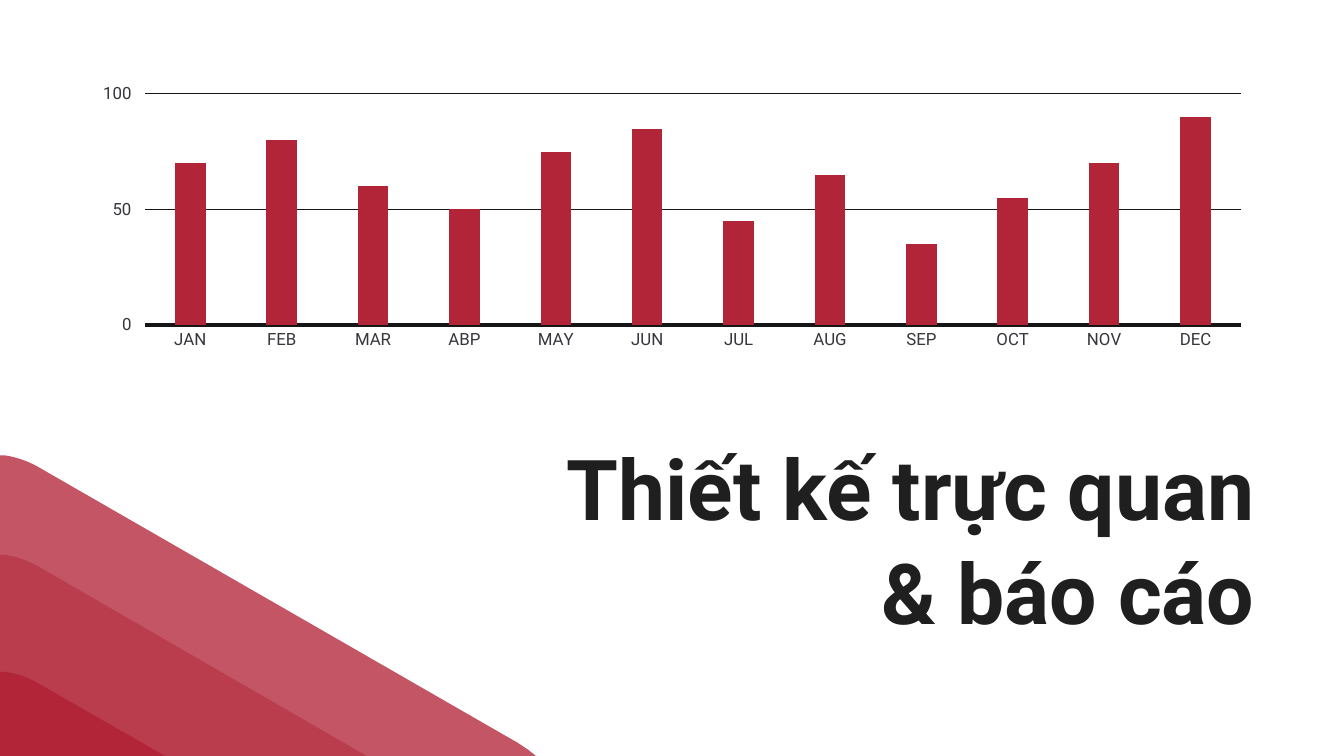
from dataclasses import dataclass

from lxml import etree
from pptx import Presentation
from pptx.chart.data import CategoryChartData
from pptx.dml.color import RGBColor
from pptx.enum.chart import XL_CHART_TYPE, XL_TICK_MARK
from pptx.enum.text import MSO_ANCHOR, PP_ALIGN
from pptx.oxml.ns import qn
from pptx.util import Cm, Pt

COLUMNS = XL_CHART_TYPE.COLUMN_CLUSTERED
TICK_NONE, TICK_OUT = XL_TICK_MARK.NONE, XL_TICK_MARK.OUTSIDE
RIGHT, TOP = PP_ALIGN.RIGHT, MSO_ANCHOR.TOP


@dataclass(frozen=True)
class Theme:
    font: str = "Roboto"
    title: RGBColor = RGBColor.from_string("1F1F1F")
    label: RGBColor = RGBColor.from_string("36363D")
    line: RGBColor = RGBColor.from_string("171616")
    light: RGBColor = RGBColor.from_string("C35564")
    medium: RGBColor = RGBColor.from_string("BA3D4D")
    accent: RGBColor = RGBColor.from_string("B22437")
    title_size: Pt = Pt(45)
    label_size: Pt = Pt(9)


theme = Theme()


def curve(start, control_1, control_2, end, steps=12):
    """Points along a cubic Bezier curve."""
    points = []
    for step in range(steps + 1):
        t = step / steps
        weights = ((1 - t) ** 3, 3 * t * (1 - t) ** 2, 3 * t**2 * (1 - t), t**3)
        corners = (start, control_1, control_2, end)
        points.append(tuple(sum(w * c[i] for w, c in zip(weights, corners)) for i in (0, 1)))
    return points


def style_font(font, size, color):
    font.name = theme.font
    font.size = size
    font.color.rgb = color


presentation = Presentation()
presentation.slide_width = Cm(25.4)
presentation.slide_height = Cm(14.29)
slide = presentation.slides.add_slide(presentation.slide_layouts[6])

# Corner bands: one rounded shoulder, then a straight slope to the bottom edge
bottom = 14.29
shoulder = curve((0.1, 0), (0.3, 0.03), (0.51, 0.1), (0.71, 0.21))
bands = [
    (8.61, [(9.8, 14.05), (9.98, 14.17), (10.13, bottom)], theme.light),
    (10.49, [(6.93, bottom)], theme.medium),
    (12.7, [(3.12, bottom)], theme.accent),
]
for top, slope, color in bands:
    outline = [(x, top + y) for x, y in shoulder] + slope + [(0, bottom)]
    builder = slide.shapes.build_freeform(0, Cm(top))
    builder.add_line_segments([(Cm(x), Cm(y)) for x, y in outline], close=True)
    shape = builder.convert_to_shape()
    shape.shadow.inherit = False
    shape.fill.solid()
    shape.fill.fore_color.rgb = color
    shape.line.fill.background()

# Monthly column chart
data = CategoryChartData()
data.categories = ["JAN", "FEB", "MAR", "ABP", "MAY", "JUN",
                   "JUL", "AUG", "SEP", "OCT", "NOV", "DEC"]
data.add_series("Series 1", [70, 80, 60, 50, 75, 85, 45, 65, 35, 55, 70, 90])
chart = slide.shapes.add_chart(COLUMNS, Cm(1.5), Cm(1.5), Cm(22.43), Cm(5.23), data).chart
chart.has_legend = False
chart.has_title = False
style_font(chart.font, theme.label_size, theme.label)

plot = chart.plots[0]
plot.gap_width = 200
plot.overlap = -27
plot.vary_by_categories = False
series = plot.series[0]
series.format.fill.solid()
series.format.fill.fore_color.rgb = theme.accent

# Axes
months = chart.category_axis
months.major_tick_mark = TICK_NONE
months.format.line.color.rgb = theme.line
months.format.line.width = Pt(1.75)
values = chart.value_axis
values.minimum_scale, values.maximum_scale, values.major_unit = 0, 100, 50
values.major_tick_mark = TICK_OUT
values.format.line.fill.background()
values.has_major_gridlines = True
values.major_gridlines.format.line.color.rgb = theme.line
values.major_gridlines.format.line.width = Pt(0.5)
for axis in (months, values):
    style_font(axis.tick_labels.font, theme.label_size, theme.label)

# Plot area position, as fractions of the chart
plot_area = chart.element.find(".//" + qn("c:plotArea"))
for old_layout in plot_area.findall(qn("c:layout")):
    plot_area.remove(old_layout)
layout = etree.Element(qn("c:layout"))
manual = etree.SubElement(layout, qn("c:manualLayout"))
for name, value in [("layoutTarget", "inner"), ("xMode", "edge"), ("yMode", "edge"),
                    ("x", "0.055"), ("y", "0.053"), ("w", "0.924"), ("h", "0.835")]:
    etree.SubElement(manual, qn("c:" + name)).set("val", value)
plot_area.insert(0, layout)

# Title
frame = slide.shapes.add_textbox(Cm(4.09), Cm(8.33), Cm(19.81), Cm(1.98)).text_frame
frame.word_wrap = True
frame.vertical_anchor = TOP
frame.margin_left = frame.margin_right = Cm(0.19)
frame.margin_top = frame.margin_bottom = Cm(0.13)
for index, line in enumerate(["Thiết kế trực quan", "& báo cáo"]):
    paragraph = frame.add_paragraph() if index else frame.paragraphs[0]
    paragraph.alignment = RIGHT
    paragraph.line_spacing = 0.9
    paragraph.space_before = Pt(7.5 if index else 0)
    run = paragraph.add_run()
    run.text = line
    run.font.bold = True
    style_font(run.font, theme.title_size, theme.title)

presentation.save("out.pptx")
